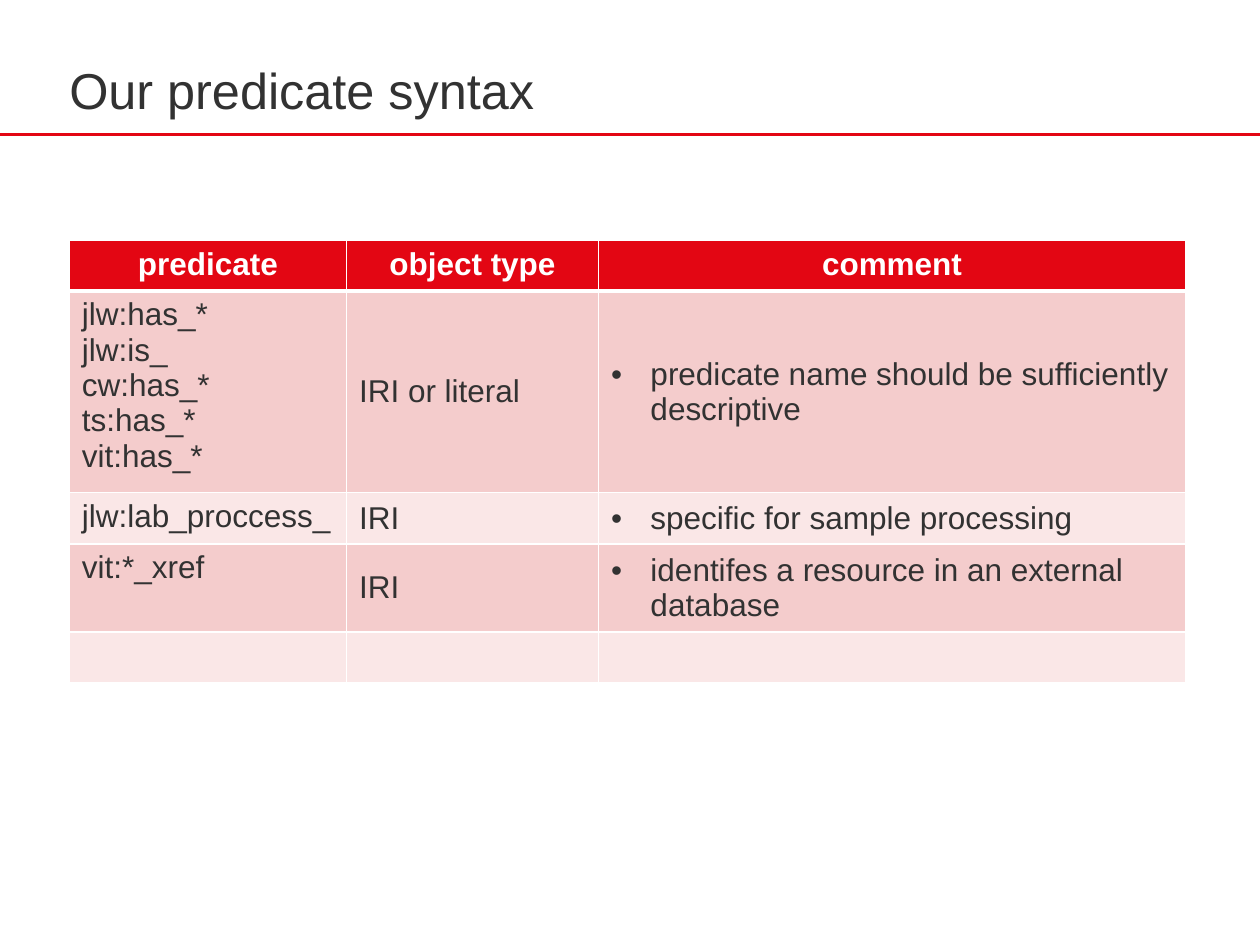
import pptx
import pptx.dml.color
import pptx.enum.shapes
import pptx.enum.text
import pptx.oxml
import pptx.oxml.ns
import pptx.util
from lxml import etree

Pt = pptx.util.Pt
ANCHOR = pptx.enum.text.MSO_ANCHOR
ALIGN = pptx.enum.text.PP_ALIGN

TITLE = "Our predicate syntax"
HEADERS = ["predicate", "object type", "comment"]
# predicates, object type, comment, row height
ROWS = [
    (["jlw:has_*", "jlw:is_", "cw:has_*", "ts:has_*", "vit:has_*"],
     "IRI or literal", "predicate name should be sufficiently descriptive", 107.4),
    (["jlw:lab_proccess_"], "IRI", "specific for sample processing", 29.2),
    (["vit:*_xref"], "IRI", "identifes a resource in an external database", 47.4),
    ([], "", "", 29.2),
]
COLUMN_WIDTHS = [158.4, 144, 335.5]
HEADER_HEIGHT = 28
LEFT, TABLE_TOP, RULE_Y = 39.6, 137.5, 76.8
BULLET_INDENT = 22.5

THEME = {
    "font": "Arial", "title_size": 28.8, "table_size": 18,
    "accent": "E30613", "text": "323232", "white": "FFFFFF",
    "bands": ["F4CCCC", "FAE7E7"],
}


def rgb(code):
    return pptx.dml.color.RGBColor.from_string(code)


def add_text(paragraph, text, size, color, bold=False):
    run = paragraph.add_run()
    run.text = text
    run.font.name = THEME["font"]
    run.font.size = Pt(size)
    run.font.bold = bold
    run.font.color.rgb = rgb(color)


def add_bullet(paragraph):
    properties = paragraph._p.get_or_add_pPr()
    properties.set("marL", str(Pt(BULLET_INDENT)))
    properties.set("indent", str(-Pt(BULLET_INDENT)))
    tag = pptx.oxml.ns.qn
    etree.SubElement(properties, tag("a:buFont"), typeface=THEME["font"])
    etree.SubElement(properties, tag("a:buChar"), char="•")


def set_borders(cell, bottom, top):
    """Draw white cell borders; they must precede the fill in the XML."""
    properties = cell._tc.get_or_add_tcPr()
    for side, width in (("L", 1), ("R", 1), ("T", top), ("B", bottom)):
        properties.append(pptx.oxml.parse_xml(
            f'<a:ln{side} {pptx.oxml.ns.nsdecls("a")} w="{Pt(width)}"><a:solidFill>'
            f'<a:srgbClr val="{THEME["white"]}"/></a:solidFill></a:ln{side}>'))


def fill_cell(cell, lines, fill, color, anchor=ANCHOR.MIDDLE, align=ALIGN.LEFT,
              bold=False, bulleted=False, top=1, bottom=1):
    set_borders(cell, bottom, top)
    cell.fill.solid()
    cell.fill.fore_color.rgb = rgb(fill)
    cell.vertical_anchor = anchor
    frame = cell.text_frame
    for index, line in enumerate(lines):
        paragraph = frame.add_paragraph() if index else frame.paragraphs[0]
        paragraph.alignment = align
        if bulleted:
            add_bullet(paragraph)
        add_text(paragraph, line, THEME["table_size"], color, bold)
    if not lines:
        frame.paragraphs[0].font.size = Pt(THEME["table_size"])


def add_rule(slide, width):
    rule = slide.shapes.add_connector(
        pptx.enum.shapes.MSO_CONNECTOR.STRAIGHT, 0, Pt(RULE_Y), width, Pt(RULE_Y))
    rule.line.color.rgb = rgb(THEME["accent"])
    rule.line.width = Pt(1.5)
    etree.SubElement(rule._element.spPr, pptx.oxml.ns.qn("a:effectLst"))


def add_title(slide):
    box = slide.shapes.add_textbox(Pt(LEFT), Pt(31.7), Pt(sum(COLUMN_WIDTHS)), Pt(38.2))
    frame = box.text_frame
    frame.word_wrap = True
    frame.vertical_anchor = ANCHOR.MIDDLE
    frame.margin_left = frame.margin_right = frame.margin_top = frame.margin_bottom = 0
    add_text(frame.paragraphs[0], TITLE, THEME["title_size"], THEME["text"])


def add_predicate_table(slide):
    heights = [HEADER_HEIGHT] + [row[-1] for row in ROWS]
    table = slide.shapes.add_table(
        len(heights), len(HEADERS), Pt(LEFT), Pt(TABLE_TOP),
        Pt(sum(COLUMN_WIDTHS)), Pt(sum(heights))).table
    for column, width in zip(table.columns, COLUMN_WIDTHS):
        column.width = Pt(width)
    for row, height in zip(table.rows, heights):
        row.height = Pt(height)
    for column, header in enumerate(HEADERS):
        fill_cell(table.cell(0, column), [header], THEME["accent"], THEME["white"],
                  align=ALIGN.CENTER, anchor=ANCHOR.TOP, bold=True, bottom=3)
    for number, (predicates, object_type, comment, _) in enumerate(ROWS, start=1):
        fill = THEME["bands"][(number - 1) % 2]
        top = 3 if number == 1 else 1
        contents = [predicates, [object_type] if object_type else [],
                    [comment] if comment else []]
        for column, lines in enumerate(contents):
            fill_cell(table.cell(number, column), lines, fill, THEME["text"],
                      anchor=ANCHOR.MIDDLE if column else ANCHOR.TOP,
                      bulleted=column == 2, top=top)


def main():
    deck = pptx.Presentation()
    deck.slide_width, deck.slide_height = Pt(720), Pt(540)
    slide = deck.slides.add_slide(deck.slide_layouts[6])
    add_rule(slide, deck.slide_width)
    add_title(slide)
    add_predicate_table(slide)
    deck.save("out.pptx")


if __name__ == "__main__":
    main()
